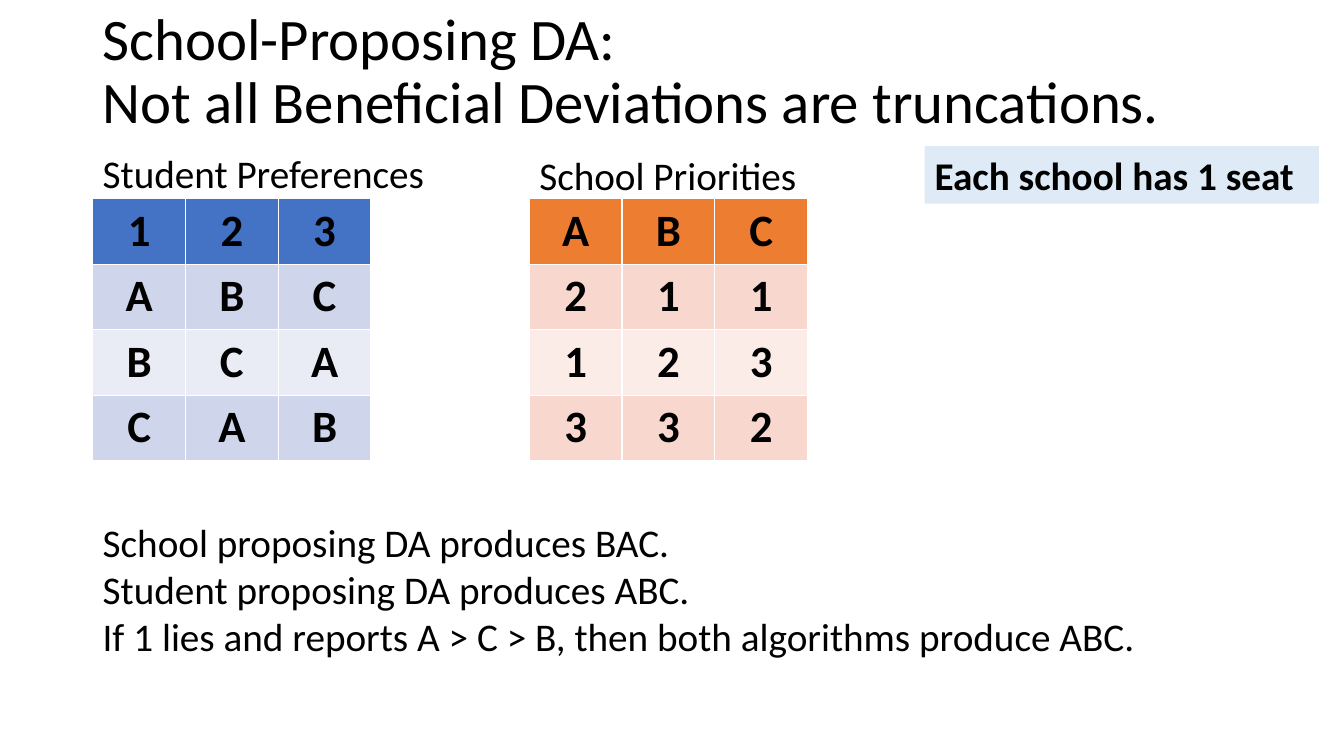
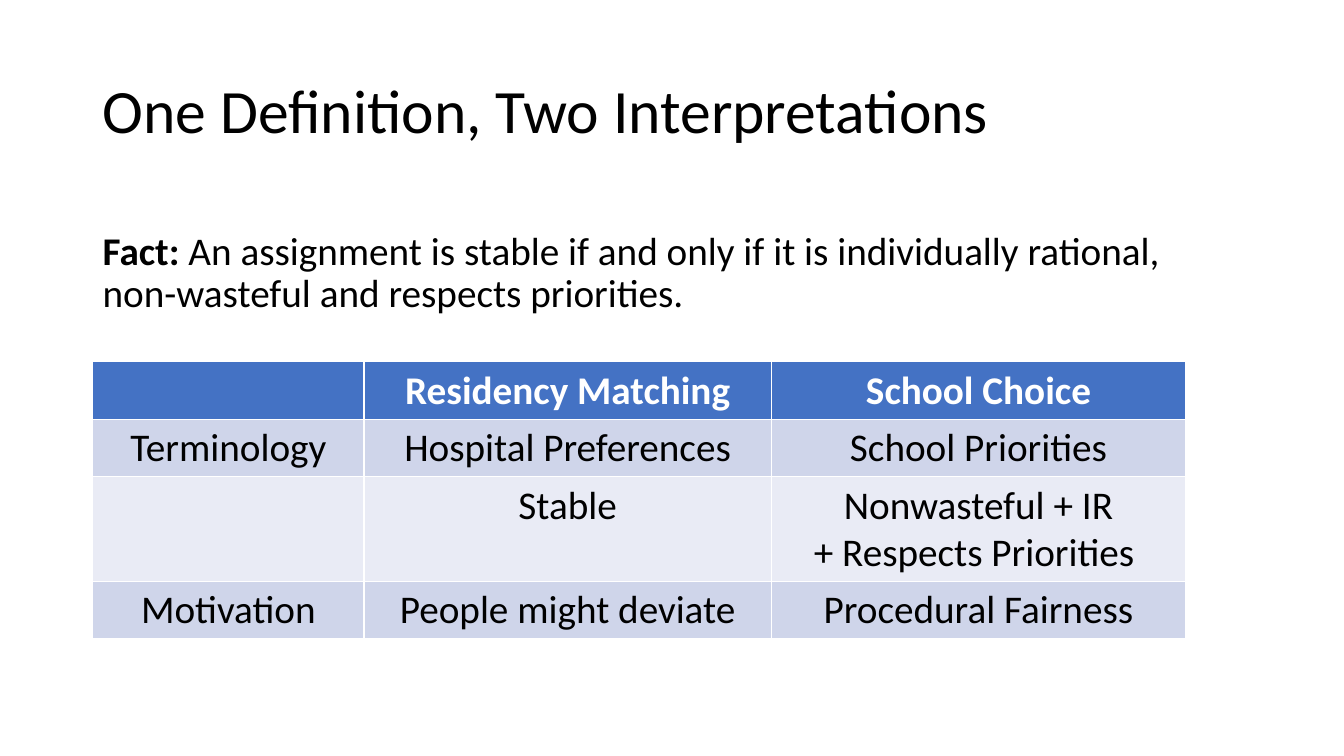
from dataclasses import dataclass

from pptx import Presentation
from pptx.dml.color import RGBColor as Rgb
from pptx.enum.text import MSO_ANCHOR as Anchor, PP_ALIGN as Align
from pptx.util import Inches, Pt


@dataclass(frozen=True)
class Theme:
    """Fonts, sizes, colours and the common left margin."""
    font: str = "Calibri"
    body: int = 28
    grid: int = 32
    ink: str = "000000"
    paper: str = "FFFFFF"
    note: str = "DEEBF7"
    blue: tuple = ("4472C4", "CFD5EA", "E9EBF5")
    orange: tuple = ("ED7D31", "F8D7CE", "FCECE8")
    left: float = 0.92
    title_height: float = 1.45
    line: float = 0.47
    padding: float = 0.1


THEME = Theme()
WIDTH, HEIGHT = 13.33, 7.5

DEVIATIONS = {
    "title": ["School-Proposing DA:", "Not all Beneficial Deviations are truncations."],
    "rankings": [
        ("Student Preferences", 0.92, 1.43, 3.42, THEME.blue, ["123", "ABC", "BCA", "CAB"]),
        ("School Priorities", 5.25, 1.45, 2.78, THEME.orange, ["ABC", "211", "123", "332"]),
    ],
    "seats": "Each school has 1 seat",
    "outcomes": [
        "School proposing DA produces BAC.",
        "Student proposing DA produces ABC.",
        "If 1 lies and reports A > C > B, then both algorithms produce ABC.",
    ],
}
DEFINITION = {
    "title": ["One Definition, Two Interpretations"],
    "fact": [
        ("Fact: ", True),
        ("An assignment is stable if and only if it is individually rational, "
         "non-wasteful and respects priorities.", False),
    ],
    "columns": [2.69, 4.04, 4.11],
    "readings": [
        ["", "Residency Matching", "School Choice"],
        ["Terminology", "Hospital Preferences", "School Priorities"],
        ["", "Stable", "Nonwasteful + IR\n+ Respects Priorities "],
        ["Motivation", "People might deviate", "Procedural Fairness"],
    ],
}


def add_run(paragraph, text, size=THEME.body, bold=False, color=THEME.ink):
    """Append one styled run."""
    run = paragraph.add_run()
    run.text = text
    run.font.name, run.font.size, run.font.bold = THEME.font, Pt(size), bold
    run.font.color.rgb = Rgb.from_string(color)


def fill_solid(target, color):
    """Give a shape or a cell a plain fill."""
    target.fill.solid()
    target.fill.fore_color.rgb = Rgb.from_string(color)


def write_lines(frame, lines, align=Align.LEFT, **style):
    """Write each line as its own paragraph."""
    for index, line in enumerate(lines):
        paragraph = frame.add_paragraph() if index else frame.paragraphs[0]
        paragraph.alignment = align
        add_run(paragraph, line, **style)


def add_box(slide, left, top, width, height, wrap=True):
    """Add an empty text box."""
    box = slide.shapes.add_textbox(*map(Inches, (left, top, width, height)))
    box.text_frame.word_wrap = wrap
    return box


def add_title(slide, lines, top, width, size):
    """Add the slide title, its lines parted by line breaks."""
    frame = add_box(slide, THEME.left, top, width, THEME.title_height).text_frame
    frame.vertical_anchor = Anchor.MIDDLE
    heading = frame.paragraphs[0]
    heading.line_spacing = 0.9
    for index, line in enumerate(lines):
        if index:
            heading.add_line_break()
        add_run(heading, line, size)


def add_grid(slide, left, top, widths, heights, rows, palette, head_color, size, bold):
    """Add a banded table with a coloured header row."""
    head, *bands = palette
    grid = slide.shapes.add_table(
        len(heights), len(widths),
        *map(Inches, (left, top, sum(widths), sum(heights)))).table
    for column, width in zip(grid.columns, widths):
        column.width = Inches(width)
    for r, (height, texts) in enumerate(zip(heights, rows)):
        grid.rows[r].height = Inches(height)
        for c, text in enumerate(texts):
            cell = grid.cell(r, c)
            fill_solid(cell, bands[(r - 1) % 2] if r else head)
            if text:
                write_lines(cell.text_frame, text.split("\n"), Align.CENTER, size=size,
                            bold=bold or r == 0, color=THEME.ink if r else head_color)


def build_deviations(slide, content):
    """Show both rankings and what the algorithms produce."""
    add_title(slide, content["title"], 0, WIDTH - THEME.left, 42)
    label_height = THEME.line + THEME.padding
    for label, left, top, width, palette, rows in content["rankings"]:
        add_grid(slide, left, 1.97, [0.92] * 3, [0.65] * 4, rows, palette,
                 THEME.ink, THEME.grid, True)
        caption = add_box(slide, left, top, width, label_height, wrap=False)
        write_lines(caption.text_frame, [label])
    seats = add_box(slide, 9.17, 1.45, 3.91, label_height)
    fill_solid(seats, THEME.note)
    write_lines(seats.text_frame, [content["seats"]], bold=True)
    outcomes = add_box(slide, THEME.left, 5.09, 10.56, 1.51, wrap=False)
    write_lines(outcomes.text_frame, content["outcomes"])


def build_definition(slide, content):
    """Show the fact and its two readings."""
    add_title(slide, content["title"], 0.4, 11.5, 44)
    columns, rows = content["columns"], content["readings"]
    fact = add_box(slide, THEME.left, 2.25, sum(columns), 1).text_frame.paragraphs[0]
    fact.line_spacing = 0.9
    for text, bold in content["fact"]:
        add_run(fact, text, bold=bold)
    heights = [THEME.padding + THEME.line * max(text.count("\n") + 1 for text in row)
               for row in rows]
    add_grid(slide, THEME.left, 3.59, columns, heights, rows, THEME.blue,
             THEME.paper, THEME.body, False)


def main():
    """Build and save the deck."""
    deck = Presentation()
    deck.slide_width, deck.slide_height = Inches(WIDTH), Inches(HEIGHT)
    for build, content in ((build_deviations, DEVIATIONS), (build_definition, DEFINITION)):
        build(deck.slides.add_slide(deck.slide_layouts[6]), content)
    deck.save("out.pptx")


if __name__ == "__main__":
    main()
